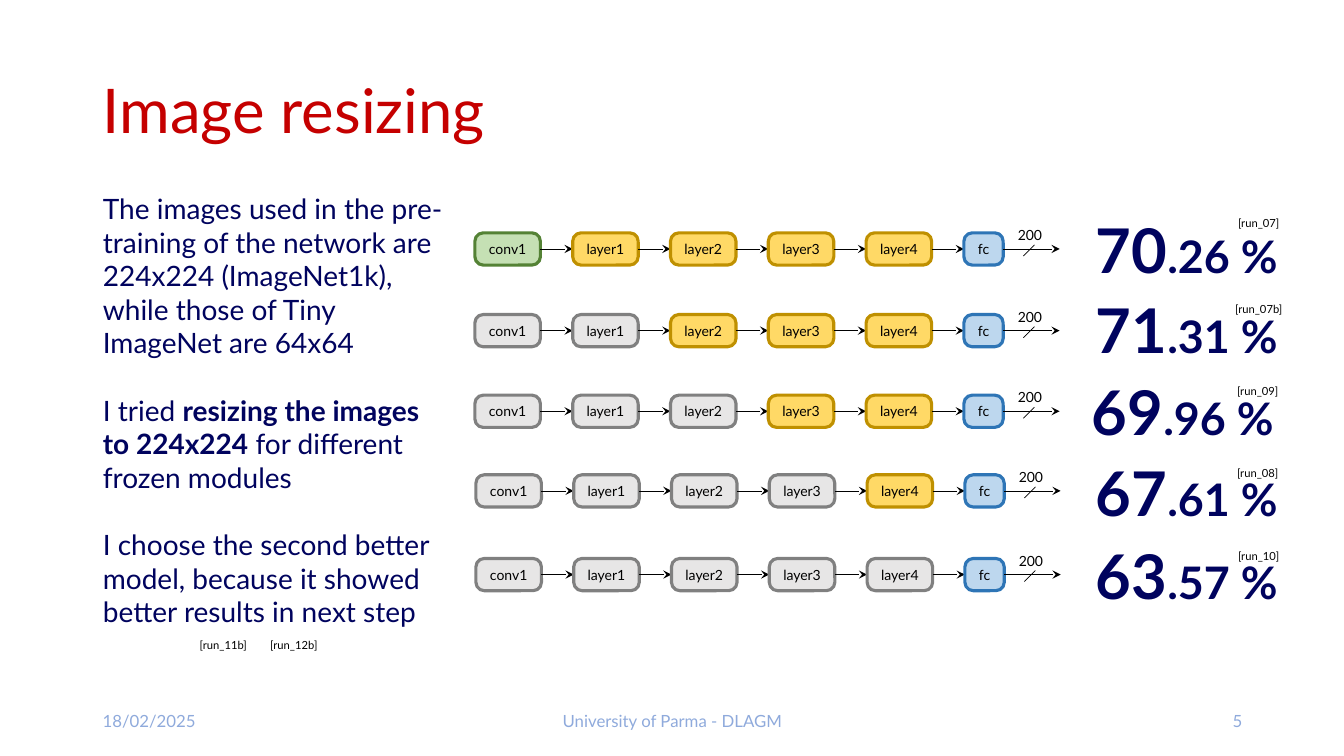
from dataclasses import dataclass

from lxml.etree import SubElement
from pptx import Presentation
from pptx.dml.color import RGBColor
from pptx.enum.shapes import MSO_CONNECTOR, MSO_SHAPE
from pptx.enum.text import MSO_ANCHOR, MSO_AUTO_SIZE, PP_ALIGN
from pptx.oxml.ns import qn
from pptx.shapes.shapetree import GroupShapes, SlideShapes
from pptx.text.text import TextFrame, _Paragraph
from pptx.util import Inches, Pt

RED = RGBColor(0xC5, 0x00, 0x00)
NAVY = RGBColor(0x00, 0x03, 0x5E)
PALE = RGBColor(0x8F, 0xAA, 0xDC)
BLACK = RGBColor(0x00, 0x00, 0x00)
FONT = "Lato"


@dataclass(frozen=True)
class Paint:
    fill: RGBColor
    edge: RGBColor


@dataclass(frozen=True)
class Run:
    text: str
    size: float
    color: RGBColor = BLACK
    bold: bool = False


@dataclass(frozen=True)
class Label:
    left: float
    top: float
    width: float
    height: float
    run: Run
    align: PP_ALIGN = PP_ALIGN.CENTER
    anchor: MSO_ANCHOR = MSO_ANCHOR.TOP


@dataclass(frozen=True)
class Model:
    left: float
    top: float
    frozen: int
    whole: str
    rest: str
    score_left: float
    score_top: float
    tag: str
    tag_left: float
    tag_top: float


GREEN = Paint(RGBColor(0xC5, 0xE0, 0xB4), RGBColor(0x54, 0x82, 0x35))
GOLD = Paint(RGBColor(0xFF, 0xD9, 0x66), RGBColor(0xBF, 0x90, 0x00))
GRAY = Paint(RGBColor(0xE7, 0xE6, 0xE6), RGBColor(0x80, 0x80, 0x80))
BLUE = Paint(RGBColor(0xBD, 0xD7, 0xEE), RGBColor(0x2E, 0x75, 0xB6))

LAYERS = ("conv1", "layer1", "layer2", "layer3", "layer4", "fc")
STEP, WIDE, SLIM, TALL = 0.97, 0.65, 0.39, 0.32

MODELS = (
    Model(4.71, 2.31, 0, "70", ".26 %", 10.66, 2.05, "[run_07]", 11.98, 2.1),
    Model(4.71, 3.12, 2, "71", ".31 %", 10.66, 2.85, "[run_07b]", 11.98, 2.95),
    Model(4.71, 3.92, 3, "69", ".96 %", 10.62, 3.66, "[run_09]", 11.97, 3.76),
    Model(4.72, 4.71, 4, "67", ".61 %", 10.66, 4.46, "[run_08]", 11.97, 4.58),
    Model(4.72, 5.54, 5, "63", ".57 %", 10.66, 5.29, "[run_10]", 11.98, 5.4),
)

FOOT = (
    Label(0.92, 6.95, 3, 0.4, Run("18/02/2025", 12, PALE), PP_ALIGN.LEFT, MSO_ANCHOR.MIDDLE),
    Label(4.42, 6.95, 4.5, 0.4, Run("University of Parma - DLAGM", 12, PALE),
          anchor=MSO_ANCHOR.MIDDLE),
    Label(9.42, 6.95, 3, 0.4, Run("5", 12, PALE), PP_ALIGN.RIGHT, MSO_ANCHOR.MIDDLE),
)

TAGS = (
    *(Label(m.tag_left, m.tag_top, 1.01, 0.24, Run(m.tag, 8)) for m in MODELS),
    Label(1.71, 6.28, 1.01, 0.24, Run("[run_11b]", 8)),
    Label(2.41, 6.28, 1.01, 0.24, Run("[run_12b]", 8)),
)

NOTES = (
    (Run("The images used in the pre-training of the network are 224x224 "
         "(ImageNet1k), while those of Tiny ImageNet are 64x64", 20, NAVY),),
    (Run("I tried ", 20, NAVY),
     Run("resizing the images to 224x224", 20, NAVY, True),
     Run(" for different frozen modules", 20, NAVY)),
    (Run("I choose the second better model, because it showed better results "
         "in next step", 20, NAVY),),
)


def add_run(para: _Paragraph, item: Run) -> None:
    run = para.add_run()
    run.text = item.text
    run.font.name = FONT
    run.font.size = Pt(item.size)
    run.font.bold = item.bold
    run.font.color.rgb = item.color


def set_text(frame: TextFrame, *runs: Run, align: PP_ALIGN = PP_ALIGN.CENTER,
             anchor: MSO_ANCHOR = MSO_ANCHOR.MIDDLE) -> None:
    frame.word_wrap = True
    frame.auto_size = MSO_AUTO_SIZE.NONE
    frame.vertical_anchor = anchor
    para = frame.paragraphs[0]
    para.alignment = align
    for run in runs:
        add_run(para, run)


def place(shape, left: float, top: float, width: float, height: float) -> None:
    shape.left, shape.top = Inches(left), Inches(top)
    shape.width, shape.height = Inches(width), Inches(height)


def add_label(shapes: SlideShapes, label: Label) -> None:
    box = shapes.add_textbox(Inches(label.left), Inches(label.top),
                             Inches(label.width), Inches(label.height))
    set_text(box.text_frame, label.run, align=label.align, anchor=label.anchor)


def add_line(shapes: GroupShapes, x1: float, y1: float, x2: float, y2: float,
             arrow: bool = True) -> None:
    line = shapes.add_connector(MSO_CONNECTOR.STRAIGHT, Inches(x1), Inches(y1),
                                Inches(x2), Inches(y2))
    line.line.color.rgb = BLACK
    line.line.width = Pt(0.5)
    if arrow:
        SubElement(line.line._get_or_add_ln(), qn("a:tailEnd"), type="stealth")
    SubElement(line._element.spPr, qn("a:effectLst"))


def add_block(shapes: GroupShapes, left: float, top: float, width: float,
              name: str, paint: Paint) -> None:
    block = shapes.add_shape(MSO_SHAPE.ROUNDED_RECTANGLE, Inches(left), Inches(top),
                             Inches(width), Inches(TALL))
    block.adjustments[0] = 0.26
    block.shadow.inherit = False
    block.fill.solid()
    block.fill.fore_color.rgb = paint.fill
    block.line.color.rgb = paint.edge
    block.line.width = Pt(2.25)
    set_text(block.text_frame, Run(name, 10))


def pick_paint(index: int, frozen: int) -> Paint:
    if index == len(LAYERS) - 1:
        return BLUE
    if index < frozen:
        return GRAY
    return GOLD if index else GREEN


def add_model(slide_shapes: SlideShapes, model: Model) -> None:
    shapes = slide_shapes.add_group_shape().shapes
    mid = model.top + TALL / 2
    for index, name in enumerate(LAYERS):
        left = model.left + index * STEP
        last = index == len(LAYERS) - 1
        width = SLIM if last else WIDE
        add_block(shapes, left, model.top, width, name, pick_paint(index, model.frozen))
        add_line(shapes, left + width, mid, left + (0.95 if last else STEP), mid)
    add_label(shapes, Label(model.left + 5.23, model.top - 0.12, 0.55, 0.28,
                            Run("200", 10), anchor=MSO_ANCHOR.MIDDLE))
    add_line(shapes, model.left + 5.55, mid - 0.04, model.left + 5.44, mid + 0.07, False)
    score = shapes.add_textbox(Inches(model.score_left), Inches(model.score_top),
                               Inches(2.22), Inches(0.84))
    set_text(score.text_frame, Run(model.whole, 44, NAVY, True),
             Run(model.rest, 32, NAVY, True), anchor=MSO_ANCHOR.TOP)


def add_notes(frame: TextFrame) -> None:
    frame.word_wrap = True
    frame.auto_size = MSO_AUTO_SIZE.NONE
    for index, runs in enumerate(NOTES):
        para = frame.add_paragraph() if index else frame.paragraphs[0]
        props = para._p.get_or_add_pPr()
        props.set("marL", "0")
        props.set("indent", "0")
        SubElement(props, qn("a:buNone"))
        para.space_before = Pt(24 if index else 0)
        for run in runs:
            add_run(para, run)


def main() -> None:
    deck = Presentation()
    deck.slide_width, deck.slide_height = Inches(13.33), Inches(7.5)
    slide = deck.slides.add_slide(deck.slide_layouts[1])
    title, body = slide.shapes.title, slide.placeholders[1]
    place(title, 0.92, 0.4, 11.5, 1.45)
    set_text(title.text_frame, Run("Image resizing", 44, RED), align=PP_ALIGN.LEFT)
    title.text_frame.paragraphs[0].line_spacing = 0.9
    place(body, 0.92, 1.85, 3.62, 4.48)
    add_notes(body.text_frame)
    for model in MODELS:
        add_model(slide.shapes, model)
    for label in FOOT + TAGS:
        add_label(slide.shapes, label)
    deck.save("out.pptx")


if __name__ == "__main__":
    main()
